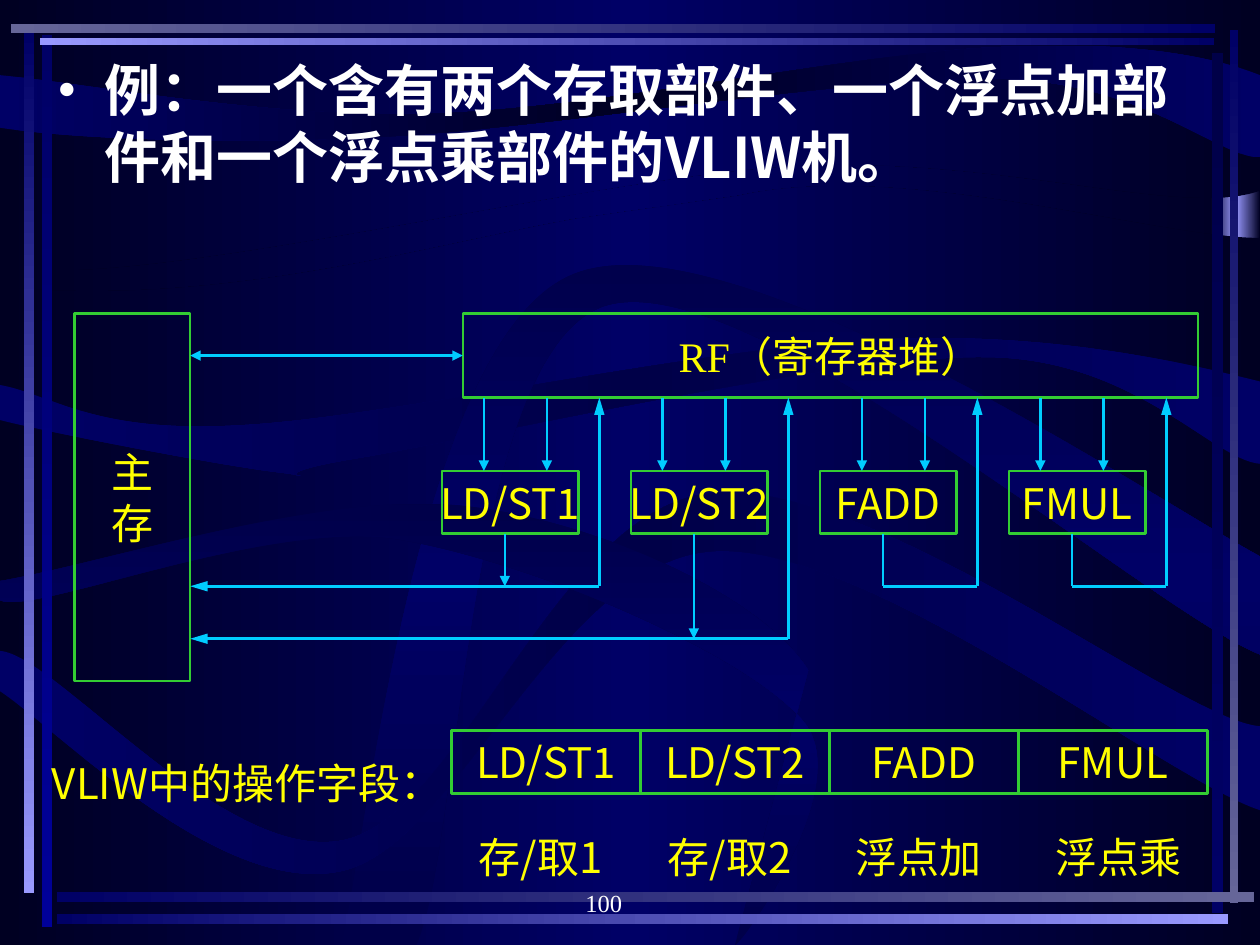
from pptx import Presentation
from pptx.dml.color import RGBColor
from pptx.enum.shapes import MSO_CONNECTOR, MSO_SHAPE
from pptx.enum.text import MSO_ANCHOR, PP_ALIGN
from pptx.oxml.ns import qn
from pptx.util import Pt
from lxml import etree

RECTANGLE = MSO_SHAPE.RECTANGLE
STRAIGHT = MSO_CONNECTOR.STRAIGHT
TOP, MIDDLE, BOTTOM = MSO_ANCHOR.TOP, MSO_ANCHOR.MIDDLE, MSO_ANCHOR.BOTTOM
LEFT, CENTER = PP_ALIGN.LEFT, PP_ALIGN.CENTER

NIGHT = RGBColor(0x00, 0x00, 0x22)
DEEP = RGBColor(0x00, 0x00, 0x48)
NAVY = RGBColor(0x00, 0x00, 0x66)
BLUE = RGBColor(0x00, 0x00, 0x99)
SLATE = RGBColor(0x66, 0x66, 0x99)
LAVENDER = RGBColor(0x99, 0x99, 0xFF)
GREEN = RGBColor(0x33, 0xCC, 0x33)
CYAN = RGBColor(0x00, 0xCC, 0xFF)
YELLOW = RGBColor(0xFF, 0xFF, 0x00)
WHITE = RGBColor(0xFF, 0xFF, 0xFF)

SANS, SERIF = "Noto Sans CJK SC", "Times New Roman"
LABEL = {"size": Pt(24), "name": SANS}
SERIF_LABEL = {"size": Pt(24), "name": SERIF}

ACROSS, DOWN = 0, 270  # gradient directions
PITCH = 108            # distance between units and between fields
UNITS = ["LD/ST1", "LD/ST2", "FADD", "FMUL"]
MEANINGS = [("存/取1", 270), ("存/取2", 378), ("浮点加", 486), ("浮点乘", 600)]

# Ribbons: colours, direction, start, then lines (2 numbers) and curves (6)
RIBBONS = [
    ((NIGHT, NAVY, NIGHT), ACROSS, (0, 0),
     [(720, 0), (720, 109), (675, 125, 570, 88, 450, 95),
      (330, 102, 75, 168, 0, 152)]),
    ((NIGHT, NAVY, NIGHT), ACROSS, (0, 164),
     [(128, 176, 245, 140, 330, 125), (330, 125, 408, 114, 422, 112),
      (515, 91, 660, 136, 720, 136), (720, 540), (0, 540)]),
    ((NAVY, NIGHT, NAVY), ACROSS, (0, 43),
     [(0, 73), (37, 79, 127, 83, 222, 78), (317, 73, 489, 43, 572, 45),
      (654, 47, 696, 90, 720, 90), (720, 43), (695, 33, 649, 23, 570, 27),
      (491, 30, 343, 62, 248, 65), (153, 68, 52, 48, 0, 43)]),
    ((NAVY, DEEP, NAVY), ACROSS, (0, 220),
     [(0, 240), (27, 247, 126, 266, 160, 270), (194, 274, 137, 273, 203, 262),
      (270, 251, 475, 203, 562, 204), (648, 204, 693, 263, 720, 265),
      (720, 218), (684, 209, 602, 189, 505, 194),
      (408, 197, 221, 239, 137, 243), (53, 248, 29, 225, 0, 220)]),
    ((DEEP, NAVY, DEEP), DOWN, (195, 540),
     [(210, 476, 239, 194, 327, 157), (414, 120, 654, 282, 720, 318),
      (720, 374), (657, 349, 426, 148, 345, 175),
      (265, 203, 264, 480, 238, 540)]),
    ((NAVY, DEEP, NAVY), ACROSS, (0, 372),
     [(0, 395), (32, 416, 125, 512, 194, 498), (261, 485, 319, 321, 407, 315),
      (495, 309, 667, 446, 720, 463), (720, 415),
      (675, 412, 498, 271, 405, 282), (318, 292, 264, 465, 197, 480),
      (129, 495, 32, 374, 0, 372)]),
    ((DEEP, NAVY, DEEP), DOWN, (0, 332),
     [(0, 343), (19, 352, 150, 297, 226, 308), (302, 320, 426, 373, 459, 412),
      (491, 450, 419, 545, 420, 540), (462, 383),
      (436, 341, 341, 297, 264, 289), (186, 280, 55, 323, 0, 332)]),
]

# Frame bars: left, top, width, height, colours, direction
BARS = [
    (23.8, 20.2, 5.8, 509.8, (NAVY, BLUE), DOWN),
    (13.7, 18, 5.8, 492.5, (NAVY, LAVENDER), DOWN),
    (702.7, 17.3, 5, 499, (NAVY, SLATE), DOWN),
    (692.6, 30.2, 6.5, 491.8, (DEEP, NAVY), DOWN),
    (32.4, 509.8, 684, 5.8, (NAVY, SLATE), ACROSS),
    (32.4, 522, 669.6, 5.8, (NAVY, LAVENDER), ACROSS),
    (23, 21.6, 671, 4.3, (LAVENDER, NAVY), ACROSS),
    (6.1, 13.7, 688.3, 5, (SLATE, NAVY), ACROSS),
]


def set_gradient(fill, owner, colors, direction):
    fill.gradient()
    fill.gradient_angle = direction
    stops = next(owner.iter(qn("a:gsLst")))
    for stop in list(stops):
        stops.remove(stop)
    for index, color in enumerate(colors):
        position = 100000 * index // (len(colors) - 1)
        stop = etree.SubElement(stops, qn("a:gs"), pos=str(position))
        etree.SubElement(stop, qn("a:srgbClr"), val=str(color))


def add_bar(page, left, top, width, height, colors, direction):
    bar = page.shapes.add_shape(RECTANGLE, Pt(left), Pt(top), Pt(width), Pt(height))
    bar.shadow.inherit = False
    bar.line.fill.background()
    set_gradient(bar.fill, bar.element, colors, direction)


def bend(ribbon, segments):
    """Turn each run of three lines that stands for a curve into one."""
    lines = iter(list(ribbon.element.iter(qn("a:lnTo"))))
    for segment in segments:
        line = next(lines)
        if len(segment) == 6:
            line.tag = qn("a:cubicBezTo")
            for _ in range(2):
                extra = next(lines)
                line.append(extra[0])
                extra.getparent().remove(extra)


def add_ribbon(page, colors, direction, start, segments):
    corners = [(Pt(segment[i]), Pt(segment[i + 1]))
               for segment in segments for i in range(0, len(segment), 2)]
    builder = page.shapes.build_freeform(Pt(start[0]), Pt(start[1]))
    builder.add_line_segments(corners, close=True)
    ribbon = builder.convert_to_shape()
    bend(ribbon, segments)
    ribbon.shadow.inherit = False
    ribbon.line.fill.background()
    set_gradient(ribbon.fill, ribbon.element, colors, direction)


def write(box, lines, font, color=YELLOW, align=CENTER, anchor=MIDDLE, wrap=False):
    frame = box.text_frame
    frame.word_wrap = wrap
    frame.vertical_anchor = anchor
    for index, line in enumerate(lines):
        para = frame.add_paragraph() if index else frame.paragraphs[0]
        para.alignment = align
        span = para.add_run()
        span.text = line
        for key, value in font.items():
            setattr(span.font, key, value)
        span.font.color.rgb = color
        etree.SubElement(span._r.get_or_add_rPr(), qn("a:ea"), typeface=SANS)


def add_text(page, left, top, width, height, lines, font, **layout):
    box = page.shapes.add_textbox(Pt(left), Pt(top), Pt(width), Pt(height))
    write(box, lines, font, **layout)
    return box


def add_box(page, left, top, width, height, lines, font=LABEL, outlined=True):
    box = page.shapes.add_shape(RECTANGLE, Pt(left), Pt(top), Pt(width), Pt(height))
    box.shadow.inherit = False
    box.fill.background()
    if outlined:
        box.line.color.rgb = GREEN
        box.line.width = Pt(1.5)
    else:
        box.line.fill.background()
    write(box, lines, font)
    return box


def add_wire(page, x1, y1, x2, y2, arrows=("tailEnd",), length="med"):
    wire = page.shapes.add_connector(STRAIGHT, Pt(x1), Pt(y1), Pt(x2), Pt(y2))
    wire.line.color.rgb = CYAN
    wire.line.width = Pt(1.5)
    for end in arrows:
        etree.SubElement(wire.line._get_or_add_ln(), qn(f"a:{end}"),
                         type="triangle", w="med", len=length)
    etree.SubElement(wire.element.spPr, qn("a:effectLst"))
    return wire


def add_title(page):
    text = "例：一个含有两个存取部件、一个浮点加部件和一个浮点乘部件的VLIW机。"
    title = add_text(page, 25.5, 28.2, 660, 122.4, [text],
                     {"size": Pt(32), "name": SANS, "bold": True},
                     color=WHITE, align=LEFT, anchor=TOP, wrap=True)
    settings = title.text_frame.paragraphs[0]._p.get_or_add_pPr()
    settings.set("marL", str(Pt(27)))
    settings.set("indent", str(-Pt(27)))
    etree.SubElement(settings, qn("a:buFont"), typeface=SERIF)
    etree.SubElement(settings, qn("a:buChar"), char="•")


def add_unit(page, index, name, memory_right, rf_bottom):
    left, top, height = 252.5 + PITCH * index, 269.1, 36
    add_box(page, left, top, 78, height, [name])
    first_input = left + (18 if index % 2 else 24)
    for x in (first_input, first_input + 36):
        add_wire(page, x, rf_bottom, x, top)
    # Result path back to the registers, and to memory for load/store
    output, back = left + 36, left + 90
    level = 365 if index == 1 else 335
    add_wire(page, back, level, back, rf_bottom, length="lg")
    if name.startswith("LD"):
        add_wire(page, output, top + height, output, level)
        add_wire(page, back, level, memory_right, level, length="lg")
    else:
        add_wire(page, output, top + height, output, level, ())
        add_wire(page, output, level, back, level, ())


def main():
    deck = Presentation()
    deck.slide_width, deck.slide_height = Pt(720), Pt(540)
    page = deck.slides.add_slide(deck.slide_layouts[6])

    # Backdrop and frame
    set_gradient(page.background.fill, page.element, (NIGHT, NAVY, NIGHT), ACROSS)
    add_bar(page, 692, 35.3, 28, 248.4, (NIGHT, LAVENDER, NIGHT), ACROSS)
    for ribbon in RIBBONS:
        add_ribbon(page, *ribbon)
    for bar in BARS:
        add_bar(page, *bar)

    add_title(page)

    # Memory, register file and functional units
    add_box(page, 42.5, 179.2, 66.2, 210, ["主", "存"], SERIF_LABEL)
    registers = add_box(page, 264.5, 179.2, 420, 48, ["RF（寄存器堆）"], SERIF_LABEL)
    link = add_wire(page, 108.7, 203.2, 264.5, 203.2, ("headEnd", "tailEnd"))
    link.end_connect(registers, 1)
    for index, name in enumerate(UNITS):
        add_unit(page, index, name, 108.7, 227.2)

    # Instruction fields
    add_box(page, 30.2, 423.4, 222, 48, ["VLIW中的操作字段："], outlined=False)
    for index, name in enumerate(UNITS):
        add_box(page, 258 + PITCH * index, 417.4, PITCH, 36, [name])
    for meaning, left in MEANINGS:
        add_box(page, left, 471.6, 78, 36, [meaning], outlined=False)

    # Page number
    add_text(page, 270, 492, 150, 36, ["100"], {"size": Pt(14), "name": SERIF},
             color=WHITE, anchor=BOTTOM, wrap=True)
    deck.save("out.pptx")


if __name__ == "__main__":
    main()
